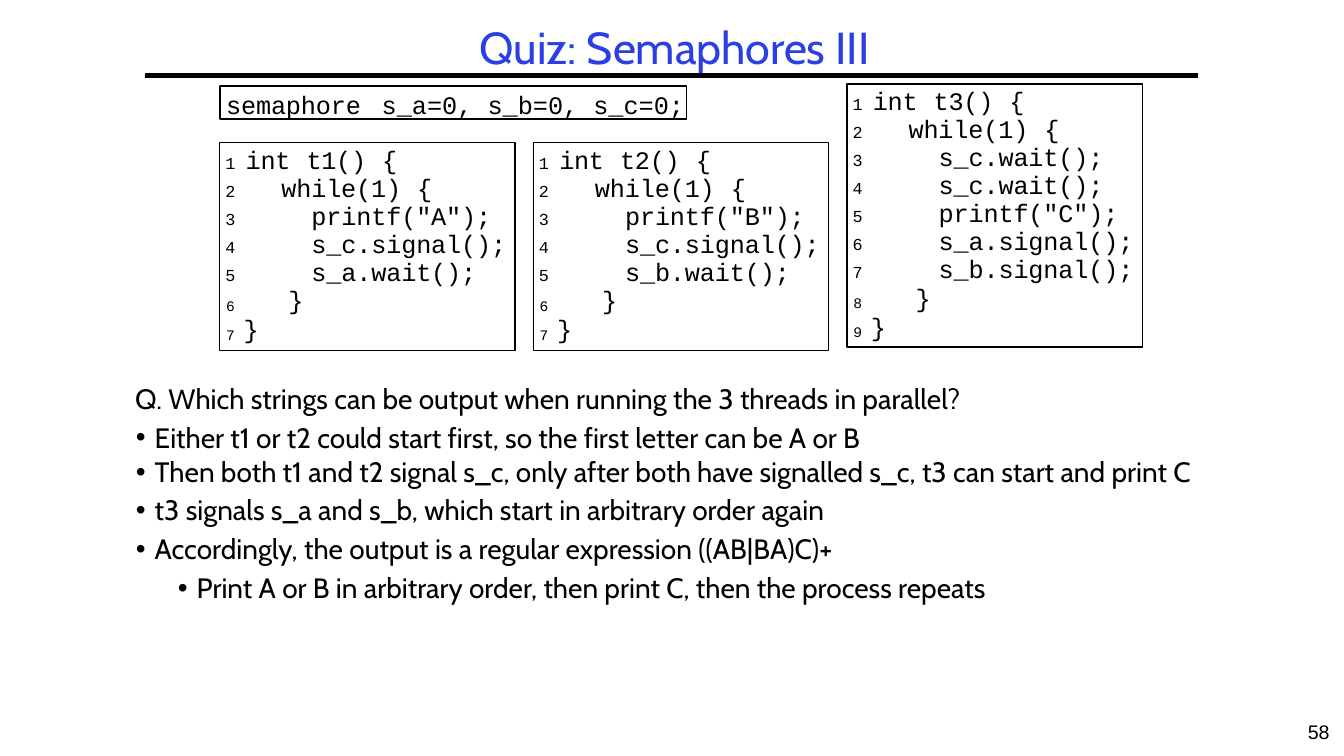
from lxml import etree
from pptx import Presentation
from pptx import util as u
from pptx.dml import color
from pptx.enum import shapes, text
from pptx.oxml import ns

Pt = u.Pt
COLORS = {"ink": "000000", "title": "2A40E2"}


class QuizSlide:
    """Draws the quiz elements on one slide in a shared style."""

    def __init__(self, deck):
        self.slide = deck.slides.add_slide(deck.slide_layouts[1])
        self.prose, self.mono, self.plain = "Cabin", "Courier New", "Arial"

    def rgb(self, name):
        return color.RGBColor.from_string(COLORS[name])

    def place(self, holder, left, top, width, height):
        holder.left, holder.top = Pt(left), Pt(top)
        holder.width, holder.height = Pt(width), Pt(height)

    def frame(self, holder, inset, anchor=text.MSO_ANCHOR.TOP):
        frame = holder.text_frame
        frame.word_wrap = True
        frame.auto_size = text.MSO_AUTO_SIZE.NONE
        frame.vertical_anchor = anchor
        frame.margin_left = frame.margin_right = frame.margin_bottom = 0
        frame.margin_top = Pt(inset)
        return frame

    def paragraph(self, frame, runs, font, size, ink="ink", align=text.PP_ALIGN.LEFT,
                  indent=0, hang=0, bullet=None, tabs=(), before=0, pitch=None, level=0):
        para = frame.paragraphs[0]
        if para.runs:
            para = frame.add_paragraph()
        props = para._p.get_or_add_pPr()
        props.set("marL", str(Pt(indent)))
        props.set("indent", str(Pt(-hang)))

        def child(parent, tag, **attributes):
            return etree.SubElement(parent, ns.qn("a:" + tag), attributes)

        if bullet == "number":
            child(props, "buSzPct", val="67000")
            child(props, "buAutoNum", type="arabicPlain")
        elif bullet:
            child(props, "buFont", typeface=self.plain)
            child(props, "buChar", char=bullet)
        else:
            child(props, "buNone")
        if tabs:
            stops = child(props, "tabLst")
            for stop in tabs:
                child(stops, "tab", pos=str(Pt(stop)), algn="l")
        para.level, para.alignment = level, align
        para.space_before, para.space_after = Pt(before), Pt(0)
        para.line_spacing = Pt(pitch) if pitch else 1.0
        for words, spacing, baseline in runs:
            run = para.add_run()
            run.text = words
            run.font.name, run.font.size = font, Pt(size)
            run.font.color.rgb = self.rgb(ink)
            letters = run._r.get_or_add_rPr()
            letters.set("spc", str(round(spacing * 100)))
            if baseline:
                letters.set("baseline", str(baseline * 1000))

    def rule(self, left, right, y):
        line = self.slide.shapes.add_connector(
            shapes.MSO_CONNECTOR.STRAIGHT, Pt(left), Pt(y), Pt(right), Pt(y))
        line.line.color.rgb = self.rgb("ink")
        line.line.width = Pt(3)
        etree.SubElement(line._element.spPr, ns.qn("a:effectLst"))

    def title(self, words):
        heading = self.slide.shapes.title
        self.place(heading, 105, 13, 754, 39.5)
        frame = self.frame(heading, 1.5, text.MSO_ANCHOR.MIDDLE)
        self.paragraph(frame, [(words, -0.05, 0)], self.prose, 32, "title",
                       text.PP_ALIGN.CENTER)

    def answers(self, question, points):
        body = self.slide.placeholders[1]
        self.place(body, 96, 268, 768, 166)
        frame = self.frame(body, 4.5)
        self.paragraph(frame, [(question, 0, 0)], self.prose, 20, indent=0.5)
        for words, level, before, pitch in points:
            indent = 14.5 + 30 * level
            self.paragraph(frame, [(words, 0, 0)], self.prose, 20, indent=indent,
                           hang=13.5, bullet="•", tabs=[indent], before=before,
                           pitch=pitch, level=level)

    def code_box(self, left, top, width, height):
        box = self.slide.shapes.add_shape(
            shapes.MSO_SHAPE.RECTANGLE, Pt(left), Pt(top), Pt(width), Pt(height))
        box.shadow.inherit = False
        box.fill.background()
        box.line.color.rgb = self.rgb("ink")
        box.line.width = Pt(1)
        return self.frame(box, 2)

    def declaration(self, kind, variables):
        frame = self.code_box(157, 61.5, 333.5, 23.5)
        self.paragraph(frame, [(kind, -0.1, 0), (" ", 4, 0), (variables, 0, 0)],
                       self.mono, 18, indent=4.5)

    def listing(self, left, top, height, function, calls):
        frame = self.code_box(left, top, 211, height)

        def code(runs, indent, tabs=(), pitch=20.0, numbered=True):
            self.paragraph(frame, runs, self.mono, 18, indent=indent,
                           hang=indent - 4 if numbered else 0,
                           bullet="number" if numbered else None,
                           tabs=tabs, pitch=pitch)

        opening, closing = ("{", -0.5, 0), ("}", -0.5, 0)
        code([(f"int\t{function}()\t", -0.2, 0), opening], 18.5, [18.5, 62, 116], 20.8)
        code([("while(1)\t", -0.1, 0), opening], 44, [44, 141])
        for call in calls:
            code([(call, -0.1, 0)], 65.5, [65.5])
        last = len(calls) + 4
        code([(f"{last - 1}", -0.8, -7), (" ", 27.5, 0), closing], 4.5, numbered=False)
        code([(f"{last} ", 0, -7), closing], 4.5, pitch=20.8, numbered=False)

    def page_number(self, number):
        box = self.slide.shapes.add_textbox(Pt(924), Pt(511), Pt(36), Pt(29))
        frame = self.frame(box, 3.5)
        self.paragraph(frame, [(number, 0, 0)], self.plain, 14,
                       align=text.PP_ALIGN.CENTER)


def main():
    deck = Presentation()
    deck.slide_width, deck.slide_height = Pt(960), Pt(540)
    quiz = QuizSlide(deck)
    quiz.rule(103.5, 856, 54)
    quiz.title("Quiz: Semaphores III")
    quiz.declaration("semaphore", "s_a=0, s_b=0, s_c=0;")
    threads = [
        ("t1", 102, 148.5, ['printf("A");', "s_c.signal();", "s_a.wait();"]),
        ("t2", 102, 148.5, ['printf("B");', "s_c.signal();", "s_b.wait();"]),
        ("t3", 60, 188, ["s_c.wait();", "s_c.wait();", 'printf("C");',
                         "s_a.signal();", "s_b.signal();"]),
    ]
    for column, (function, top, height, calls) in enumerate(threads):
        quiz.listing(157 + 224 * column, top, height, function, calls)
    quiz.answers(
        "Q. Which strings can be output when running the 3 threads in parallel?",
        [
            ("Either t1 or t2 could start first, so the first letter can be A or B",
             0, 3.7, None),
            ("Then both t1 and t2 signal s_c, only after both have signalled s_c, "
             "t3 can start and print C", 0, 4.7, 20),
            ("t3 signals s_a and s_b, which start in arbitrary order again",
             0, 3.1, None),
            ("Accordingly, the output is a regular expression ((AB|BA)C)+",
             0, 3.7, None),
            ("Print A or B in arbitrary order, then print C, then the process repeats",
             1, 3.8, None),
        ])
    quiz.page_number("58")
    deck.save("out.pptx")


if __name__ == "__main__":
    main()
